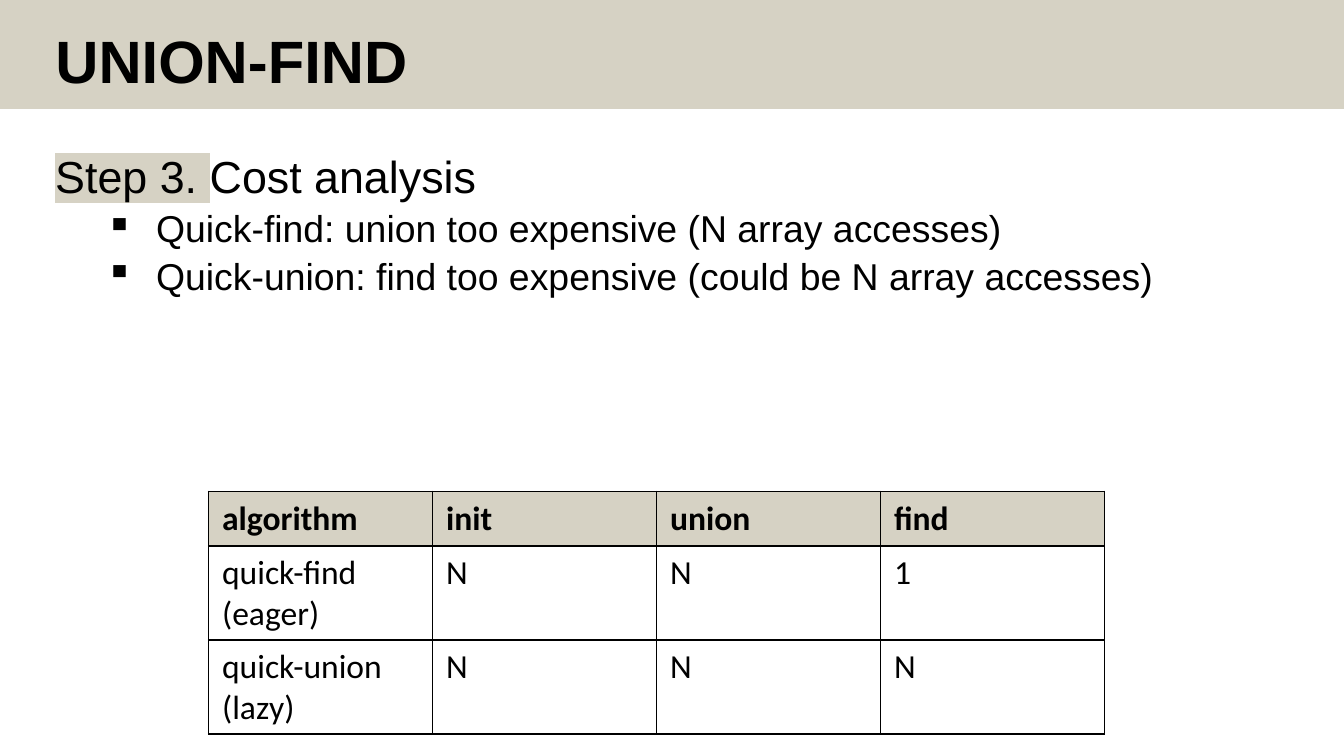
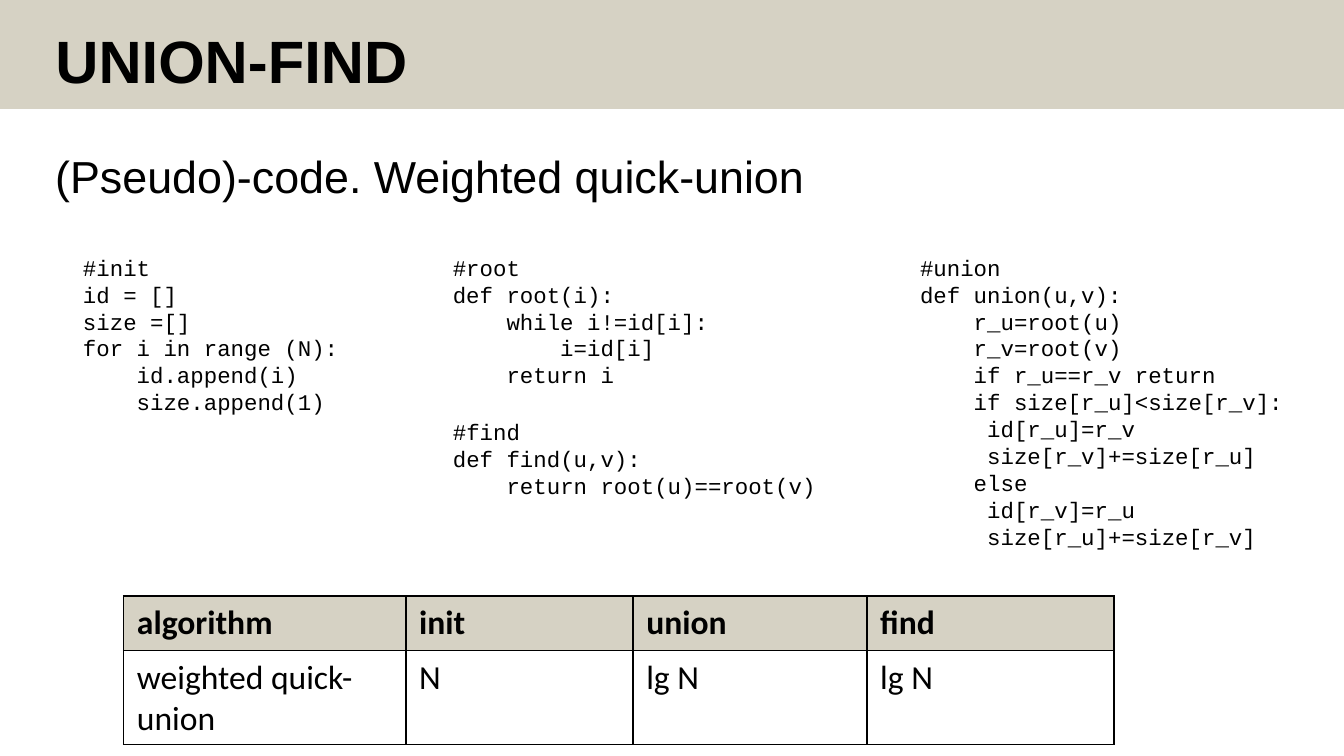
from dataclasses import dataclass

import pptx
import pptx.dml.color
import pptx.enum.shapes
import pptx.enum.text
import pptx.oxml
import pptx.oxml.ns
import pptx.util
from lxml import etree

Pt = pptx.util.Pt
RGB = pptx.dml.color.RGBColor.from_string
qn = pptx.oxml.ns.qn


@dataclass(frozen=True)
class Theme:
    band: str = "D6D2C4"
    text: str = "000000"
    paper: str = "FFFFFF"
    heading_font: str = "Arial"
    table_font: str = "Calibri"
    code_font: str = "Courier New"
    title_size: int = 32
    heading_size: int = 24
    bullet_size: int = 20
    table_size: int = 18
    code_size: int = 12
    line_spacing: float = 0.9


THEME = Theme()
SLIDE_SIZE = (720, 405)
BAND_HEIGHT = 58.3
TITLE_BOX = (22.5, 11.5, 620, 46)
BODY_BOX = (22.5, 79.5, 658, 295)
ROW_HEIGHT = 29.2
TABLE_HEADER = ["algorithm", "init", "union", "find"]

INIT_CODE = """#init
id = []
size =[]
for i in range (N):
    id.append(i)
    size.append(1)"""

ROOT_CODE = """#root
def root(i):
    while i!=id[i]:
        i=id[i]
    return i"""

FIND_CODE = """#find
def find(u,v):
    return root(u)==root(v)"""

UNION_CODE = """#union
def union(u,v):
    r_u=root(u)
    r_v=root(v)
    if r_u==r_v return
    if size[r_u]<size[r_v]:
\tid[r_u]=r_v
\tsize[r_v]+=size[r_u]
    else
\tid[r_v]=r_u
\tsize[r_u]+=size[r_v]"""

SLIDES = [
    {
        "title": "UNION-FIND",
        "marked": "Step 3. ",
        "heading": "Cost analysis",
        "bullets": [
            "Quick-find: union too expensive (N array accesses)",
            "Quick-union: find too expensive (could be N array accesses)",
        ],
        "code": [],
        "table": {
            "position": (111.8, 263.3),
            "columns": [120, 120, 120, 120],
            "rows": [
                ["quick-find (eager)", "N", "N", "1"],
                ["quick-union (lazy)", "N", "N", "N"],
            ],
        },
    },
    {
        "title": "UNION-FIND",
        "marked": "",
        "heading": "(Pseudo)-code. Weighted quick-union",
        "bullets": [],
        "code": [  # box, wraps, lines
            ((37.4, 132.5, 153.4, 94.3), False, INIT_CODE),
            ((235.5, 132.5, 153.4, 79.9), False, ROOT_CODE),
            ((235.5, 220.5, 212.4, 51.1), False, FIND_CODE),
            ((485.8, 132.5, 234.2, 167), True, UNION_CODE),
        ],
        "table": {
            "position": (66.2, 319.3),
            "columns": [151.2, 121.7, 125.3, 132.5],
            "rows": [["weighted quick-union", "N", "lg N", "lg N"]],
        },
    },
]


def points(values):
    return [Pt(value) for value in values]


def style(paragraph, name, size, bold=False):
    font = paragraph.font
    font.name, font.size, font.bold = name, Pt(size), bold
    font.color.rgb = RGB(THEME.text)


def add_color(parent, tag, color):
    holder = etree.SubElement(parent, qn(tag))
    etree.SubElement(holder, qn("a:srgbClr"), val=color)


def add_band(slide):
    band = slide.shapes.add_shape(
        pptx.enum.shapes.MSO_SHAPE.RECTANGLE, *points((0, 0, SLIDE_SIZE[0], BAND_HEIGHT)))
    band.shadow.inherit = False
    band.fill.solid()
    band.fill.fore_color.rgb = RGB(THEME.band)
    band.line.fill.background()
    title = slide.shapes.title
    title.element.addprevious(band.element)


def set_title(slide, text):
    title = slide.shapes.title
    title.left, title.top, title.width, title.height = points(TITLE_BOX)
    frame = title.text_frame
    frame.text = text
    frame.auto_size = pptx.enum.text.MSO_AUTO_SIZE.NONE
    frame.vertical_anchor = pptx.enum.text.MSO_ANCHOR.MIDDLE
    paragraph = frame.paragraphs[0]
    paragraph.alignment = pptx.enum.text.PP_ALIGN.LEFT
    paragraph.line_spacing = THEME.line_spacing
    style(paragraph, THEME.heading_font, THEME.title_size, bold=True)


def add_body(slide, marked, heading, bullets):
    frame = slide.shapes.add_textbox(*points(BODY_BOX)).text_frame
    frame.word_wrap = True
    paragraph = frame.paragraphs[0]
    paragraph.line_spacing = THEME.line_spacing
    if marked:
        run = paragraph.add_run()
        run.text = marked
        add_color(run.font._element, "a:highlight", THEME.band)
    paragraph.add_run().text = heading
    style(paragraph, THEME.heading_font, THEME.heading_size)

    for text in bullets:
        paragraph = frame.add_paragraph()
        paragraph.text = text
        paragraph.level = 1
        paragraph.line_spacing = THEME.line_spacing
        paragraph.space_before = Pt(3.8)
        properties = paragraph._p.get_or_add_pPr()
        properties.set("marL", str(Pt(54)))
        properties.set("indent", str(-Pt(27)))
        etree.SubElement(properties, qn("a:buChar"), char="▪")
        style(paragraph, THEME.heading_font, THEME.bullet_size)


def add_code(slide, box, wraps, lines):
    frame = slide.shapes.add_textbox(*points(box)).text_frame
    frame.word_wrap = wraps
    frame.auto_size = pptx.enum.text.MSO_AUTO_SIZE.SHAPE_TO_FIT_TEXT
    frame.text = lines
    for paragraph in frame.paragraphs:
        style(paragraph, THEME.code_font, THEME.code_size)


def add_cost_table(slide, position, columns, rows):
    rows = [TABLE_HEADER] + rows
    box = (*position, sum(columns), ROW_HEIGHT * len(rows))
    table = slide.shapes.add_table(len(rows), len(columns), *points(box)).table
    for column, width in zip(table.columns, columns):
        column.width = Pt(width)
    for row_index, texts in enumerate(rows):
        table.rows[row_index].height = Pt(ROW_HEIGHT)
        is_header = row_index == 0
        for column_index, text in enumerate(texts):
            cell = table.cell(row_index, column_index)
            cell.text = text
            style(cell.text_frame.paragraphs[0], THEME.table_font, THEME.table_size, is_header)
            properties = cell._tc.get_or_add_tcPr()
            for side in ("a:lnL", "a:lnR", "a:lnT", "a:lnB"):
                border = etree.SubElement(properties, qn(side), w=str(Pt(1)))
                add_color(border, "a:solidFill", THEME.text)
            cell.fill.solid()
            cell.fill.fore_color.rgb = RGB(THEME.band if is_header else THEME.paper)


def main():
    presentation = pptx.Presentation()
    presentation.slide_width, presentation.slide_height = points(SLIDE_SIZE)
    title_only = presentation.slide_layouts[5]
    for content in SLIDES:
        slide = presentation.slides.add_slide(title_only)
        add_band(slide)
        set_title(slide, content["title"])
        add_body(slide, content["marked"], content["heading"], content["bullets"])
        for box, wraps, lines in content["code"]:
            add_code(slide, box, wraps, lines)
        add_cost_table(slide, **content["table"])
    presentation.save("out.pptx")


if __name__ == "__main__":
    main()
